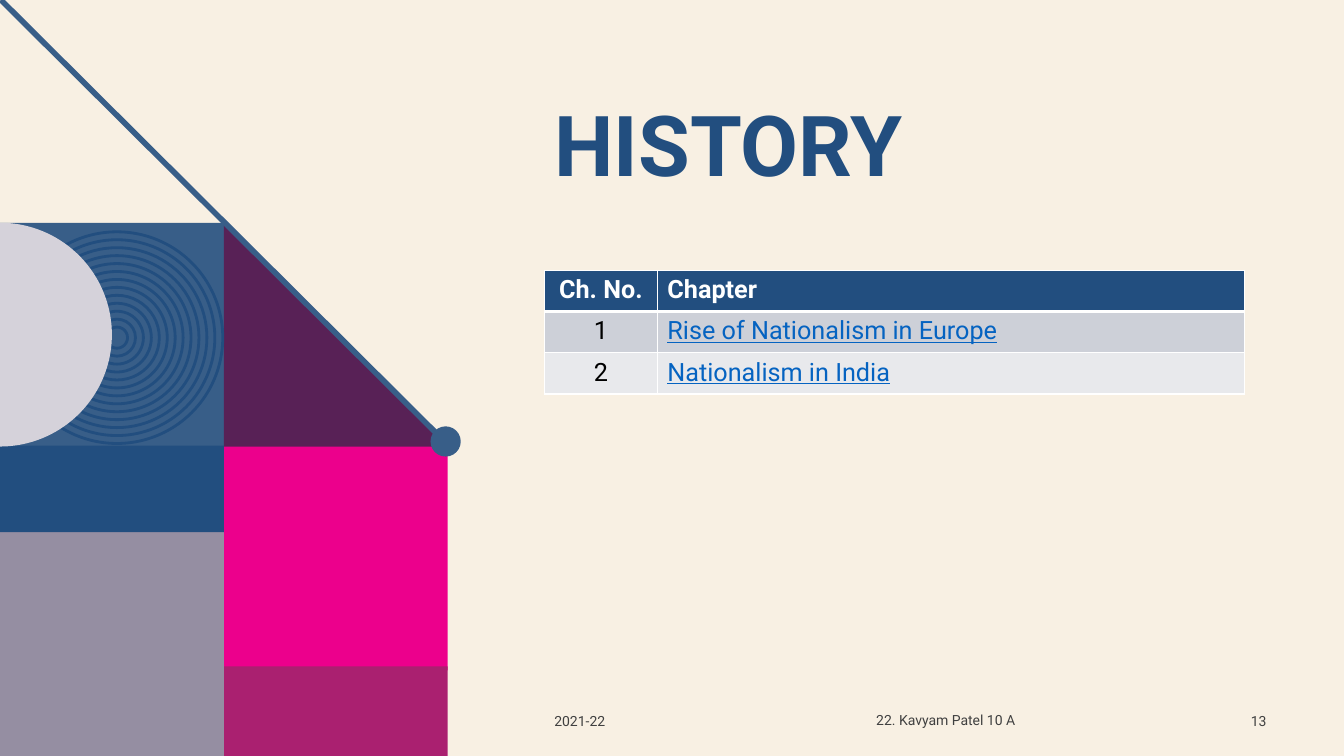
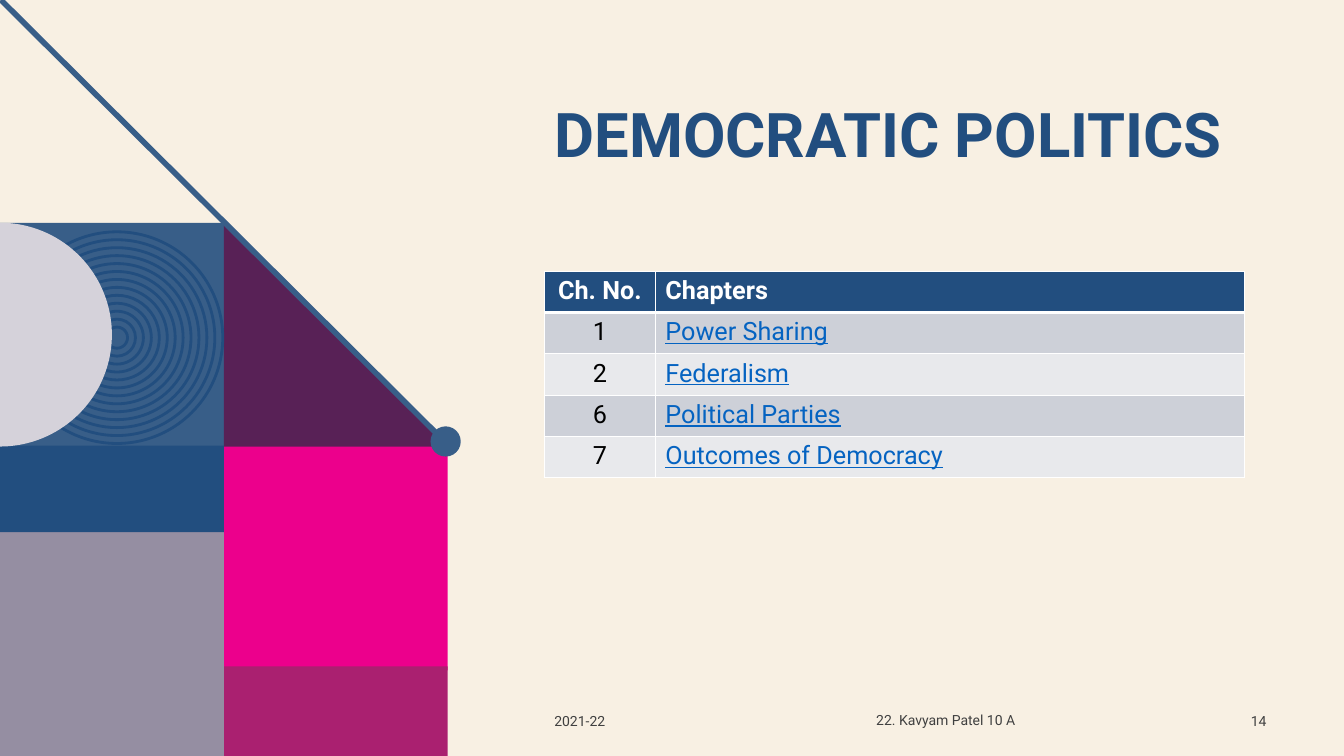
"""Build two chapter-list slides that share a geometric side panel and a footer."""
from dataclasses import dataclass
from math import cos, pi, sin

from lxml.etree import SubElement
from pptx import Presentation
from pptx.dml.color import RGBColor
from pptx.enum.shapes import MSO_CONNECTOR as Connector, MSO_SHAPE as Shape
from pptx.enum.text import MSO_ANCHOR as Anchor, MSO_AUTO_SIZE as AutoSize, PP_ALIGN as Align
from pptx.oxml.ns import qn
from pptx.util import Inches, Pt


@dataclass(frozen=True)
class Theme:
    font: str = "Roboto"
    cream: str = "F8F0E3"
    navy: str = "224E7F"
    steel: str = "385E88"
    plum: str = "582156"
    pink: str = "EC008C"
    magenta: str = "AA2070"
    mauve: str = "958EA2"
    mist: str = "D5D2DA"
    white: str = "FFFFFF"
    black: str = "000000"
    grey: str = "404040"
    link: str = "0563C1"
    bands: tuple = ("CDD0D8", "E8E9EC")
    table_size: int = 18
    footer_size: int = 10
    ring_width: int = 2
    diagonal_width: int = 4
    border_width: int = 1
    header_border: int = 3


THEME = Theme()
TILE = 2.22
CONTENT_LEFT = 5.4
TABLE_WIDTH = 6.94
ROW_HEIGHT = 0.41
RING_COUNT = 13

CHAPTER_SLIDES = [
    dict(title="HISTORY", title_size=60, title_width=6.94, number="13",
         table_top=2.68, number_width=1.12,
         rows=[("Ch. No.", "Chapter"),
               ("1", "Rise of Nationalism in Europe"),
               ("2", "Nationalism in India")]),
    dict(title="DEMOCRATIC POLITICS", title_size=44, title_width=7.18, number="14",
         table_top=2.69, number_width=1.1,
         rows=[("Ch. No.", "Chapters"),
               ("1", "Power Sharing"),
               ("2", "Federalism"),
               ("6", "Political Parties"),
               ("7", "Outcomes of Democracy")]),
]


def rgb(color):
    """Turn a hex string into a colour."""
    return RGBColor.from_string(color)


def paint(target, color):
    """Give a background, shape or cell a solid fill."""
    target.fill.solid()
    target.fill.fore_color.rgb = rgb(color)


def style_text(paragraph, size, color, align=Align.LEFT, bold=False, underline=False):
    """Align a paragraph and format its runs."""
    paragraph.alignment = align
    for run in paragraph.runs:
        font = run.font
        font.name, font.size = THEME.font, Pt(size)
        font.bold, font.underline = bold, underline
        font.color.rgb = rgb(color)


def add_block(slide, kind, left, top, width, height, color):
    """Add a filled preset shape without outline."""
    block = slide.shapes.add_shape(kind, Inches(left), Inches(top), Inches(width), Inches(height))
    block.shadow.inherit = False
    paint(block, color)
    block.line.fill.background()


def add_rings(slide, center_x, center_y, outer, inner):
    """Add evenly spaced concentric rings."""
    for index in range(RING_COUNT):
        size = outer - (outer - inner) * index / (RING_COUNT - 1)
        ring = slide.shapes.add_shape(
            Shape.OVAL, Inches(center_x - size / 2), Inches(center_y - size / 2),
            Inches(size), Inches(size))
        ring.shadow.inherit = False
        ring.fill.background()
        ring.line.color.rgb = rgb(THEME.navy)
        ring.line.width = Pt(THEME.ring_width)


def add_half_disc(slide, top, radius, color, steps=90):
    """Add a half disc whose flat side lies on the slide's left edge."""
    angles = [pi * step / steps - pi / 2 for step in range(steps + 1)]
    outline = [(Inches(radius * cos(angle)), Inches(top + radius + radius * sin(angle)))
               for angle in angles]
    builder = slide.shapes.build_freeform(*outline[0])
    builder.add_line_segments(outline[1:], close=True)
    disc = builder.convert_to_shape()
    disc.shadow.inherit = False
    paint(disc, color)
    disc.line.fill.background()


def add_diagonal(slide, start, end):
    """Add the thick diagonal line."""
    diagonal = slide.shapes.add_connector(Connector.STRAIGHT, *map(Inches, start + end))
    diagonal.line.color.rgb = rgb(THEME.steel)
    diagonal.line.width = Pt(THEME.diagonal_width)
    SubElement(diagonal.element.spPr, qn("a:effectLst"))


def add_side_panel(slide):
    """Draw the geometric panel on the left."""
    for kind, left, top, height, color in (
            (Shape.RECTANGLE, 0, 2.21, TILE, THEME.steel),
            (Shape.RIGHT_TRIANGLE, TILE, 2.22, TILE, THEME.plum),
            (Shape.RECTANGLE, TILE, 4.43, TILE, THEME.pink),
            (Shape.RECTANGLE, TILE, 6.61, 0.89, THEME.magenta),
            (Shape.RECTANGLE, 0, 5.28, TILE, THEME.mauve)):
        add_block(slide, kind, left, top, TILE, height, color)
    add_rings(slide, 1.16, 3.35, 2.1, 0.21)
    add_block(slide, Shape.RECTANGLE, 0, 4.42, TILE, 0.86, THEME.navy)
    add_half_disc(slide, 2.21, TILE / 2, THEME.mist)
    add_diagonal(slide, (0.01, 0), (4.44, 4.41))
    add_block(slide, Shape.OVAL, 4.27, 4.23, 0.3, 0.3, THEME.steel)


def set_title(slide, text, size, width):
    """Place and format the title placeholder."""
    title = slide.shapes.title
    title.left, title.top = Inches(CONTENT_LEFT), Inches(0.98)
    title.width, title.height = Inches(width), Inches(1.45)
    frame = title.text_frame
    frame.text = text
    frame.word_wrap, frame.auto_size = True, AutoSize.NONE
    frame.vertical_anchor = Anchor.TOP
    frame.paragraphs[0].line_spacing = 0.9
    style_text(frame.paragraphs[0], size, THEME.navy, bold=True)


def add_footer(slide, number):
    """Add the year, the author and the slide number."""
    for text, left, top, width, align in (
            ("2021-22", CONTENT_LEFT, 6.95, 1.2, Align.LEFT),
            ("22. Kavyam Patel 10 A", 8.13, 6.94, 2.5, Align.CENTER),
            (number, 12.16, 6.95, 0.5, Align.RIGHT)):
        box = slide.shapes.add_textbox(Inches(left), Inches(top), Inches(width), Inches(0.4))
        frame = box.text_frame
        frame.text = text
        frame.word_wrap = True
        frame.vertical_anchor = Anchor.MIDDLE
        style_text(frame.paragraphs[0], THEME.footer_size, THEME.grey, align)


def set_borders(cell, top, bottom):
    """Draw white borders around a cell, with widths in points."""
    properties = cell._tc.get_or_add_tcPr()
    side = THEME.border_width
    for tag, width in (("a:lnL", side), ("a:lnR", side), ("a:lnT", top), ("a:lnB", bottom)):
        border = SubElement(properties, qn(tag), w=str(Pt(width)))
        fill = SubElement(border, qn("a:solidFill"))
        SubElement(fill, qn("a:srgbClr"), val=THEME.white)


def add_chapter_table(slide, rows, top, number_width):
    """Add the table of chapter numbers and names."""
    table = slide.shapes.add_table(
        len(rows), 2, Inches(CONTENT_LEFT), Inches(top),
        Inches(TABLE_WIDTH), Inches(ROW_HEIGHT * len(rows))).table
    table.columns[0].width = Inches(number_width)
    table.columns[1].width = Inches(TABLE_WIDTH - number_width)
    for row_index, texts in enumerate(rows):
        header = row_index == 0
        band = THEME.navy if header else THEME.bands[(row_index - 1) % 2]
        top_border = THEME.header_border if row_index == 1 else THEME.border_width
        bottom_border = THEME.header_border if header else THEME.border_width
        for column, text in enumerate(texts):
            cell = table.cell(row_index, column)
            cell.text_frame.text = text
            set_borders(cell, top_border, bottom_border)
            paint(cell, band)
            color = THEME.white if header else (THEME.black, THEME.link)[column]
            style_text(cell.text_frame.paragraphs[0], THEME.table_size, color,
                       (Align.CENTER, Align.LEFT)[column], bold=header,
                       underline=not header and column == 1)


def add_chapter_slide(deck, title, title_size, title_width, number, table_top, number_width, rows):
    """Add one subject slide."""
    slide = deck.slides.add_slide(deck.slide_layouts.get_by_name("Title Only"))
    paint(slide.background, THEME.cream)
    add_side_panel(slide)
    set_title(slide, title, title_size, title_width)
    add_footer(slide, number)
    add_chapter_table(slide, rows, table_top, number_width)


def main():
    """Build and save the presentation."""
    deck = Presentation()
    deck.slide_width, deck.slide_height = Inches(13.33), Inches(7.5)
    for chapter_slide in CHAPTER_SLIDES:
        add_chapter_slide(deck, **chapter_slide)
    deck.save("out.pptx")


if __name__ == "__main__":
    main()
